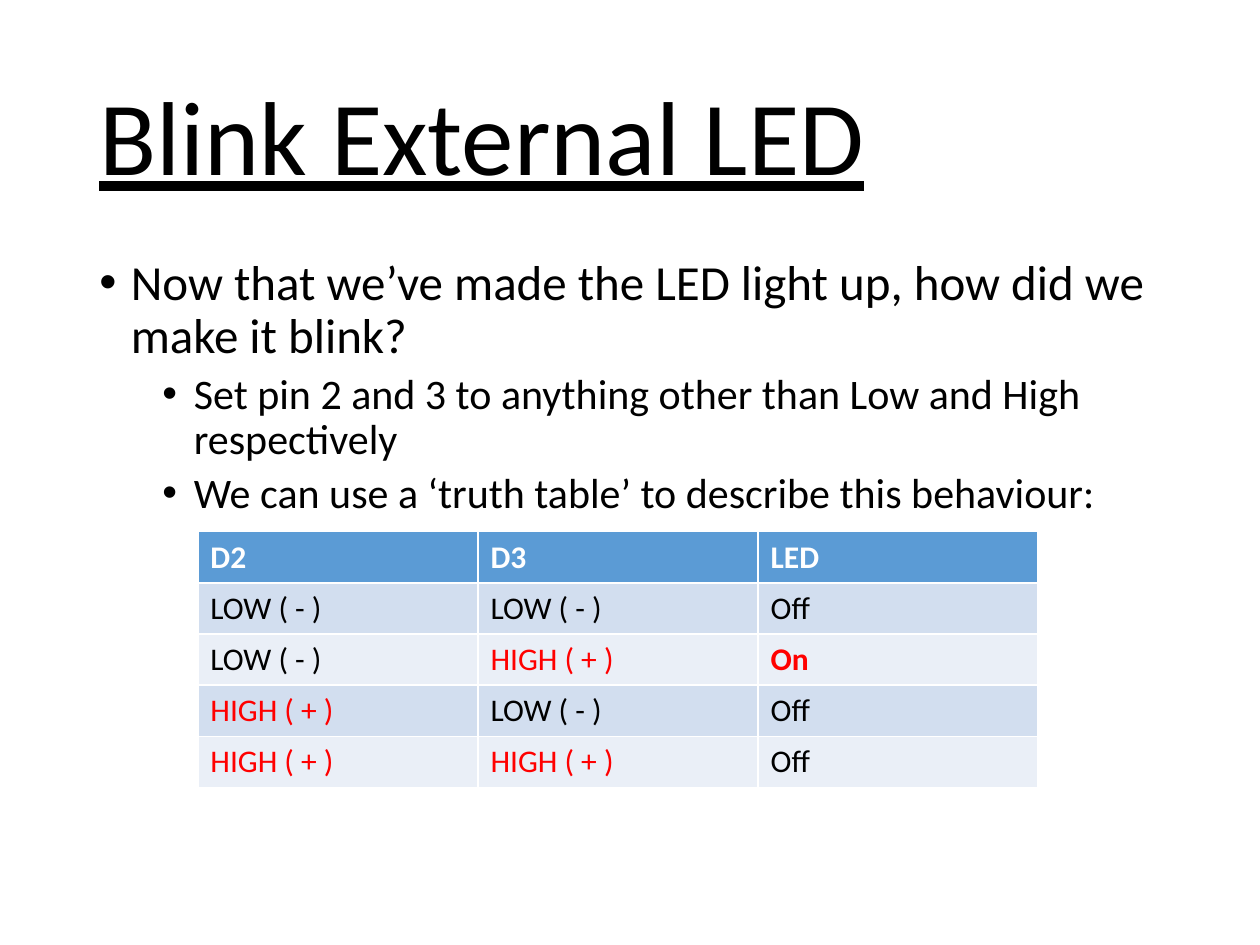
"""Build the slide that explains the external LED with a truth table."""
from lxml.etree import SubElement
from pptx import Presentation
from pptx.dml.color import RGBColor as Rgb
from pptx.enum.text import MSO_ANCHOR as Anchor
from pptx.oxml.ns import qn
from pptx.util import Inches, Pt

COLORS = {"text": "000000", "white": "FFFFFF", "high": "FF0000",
          "header": "5B9BD5", "odd": "D2DEEF", "even": "EAEFF7"}
FONT = "Calibri"
LOW, HIGH = "LOW ( - )", "HIGH ( + )"

deck = Presentation()
deck.slide_width, deck.slide_height = Inches(10), Inches(7.5)
page = deck.slides.add_slide(deck.slide_layouts[6])


def add_box(top, height, anchor):
    box = page.shapes.add_textbox(Inches(0.69), Inches(top), Inches(8.62), Inches(height))
    box.text_frame.word_wrap = True
    box.text_frame.vertical_anchor = anchor
    return box.text_frame


def style(para, size, color="text", bold=False):
    para.font.name = FONT
    para.font.size = Pt(size)
    para.font.bold = bold
    para.font.color.rgb = Rgb.from_string(COLORS[color])


title = add_box(0.4, 1.45, Anchor.MIDDLE).paragraphs[0]
title.text = "Blink External LED"
title.line_spacing = 0.9
style(title, 60)
title.font.underline = True

bullets = [
    (0, "Now that we’ve made the LED light up, how did we make it blink?"),
    (1, "Set pin 2 and 3 to anything other than Low and High respectively"),
    (1, "We can use a ‘truth table’ to describe this behaviour:"),
]
body = add_box(2, 4.76, Anchor.TOP)
for index, (level, text) in enumerate(bullets):
    para = body.add_paragraph() if index else body.paragraphs[0]
    para.text = text
    para.level = level
    para.line_spacing = 0.9
    para.space_before = Pt(10 - 5 * level)
    props = para._p.get_or_add_pPr()
    props.set("marL", str(Inches(0.25 + 0.5 * level)))
    props.set("indent", str(Inches(-0.25)))
    SubElement(props, qn("a:buFont"), typeface="Arial")
    SubElement(props, qn("a:buChar"), char="•")
    style(para, 28 - 4 * level)

rows = [
    ("D2", "D3", "LED"),
    (LOW, LOW, "Off"),
    (LOW, HIGH, "On"),
    (HIGH, LOW, "Off"),
    (HIGH, HIGH, "Off"),
]
table = page.shapes.add_table(len(rows), len(rows[0]), Inches(1.57), Inches(4.22),
                              Inches(6.67), Inches(2.03)).table
for row_index, values in enumerate(rows):
    is_header = row_index == 0
    fill = "header" if is_header else "odd" if row_index % 2 else "even"
    for column_index, value in enumerate(values):
        cell = table.cell(row_index, column_index)
        cell.fill.solid()
        cell.fill.fore_color.rgb = Rgb.from_string(COLORS[fill])
        cell.text = value
        color = "white" if is_header else "high" if value in (HIGH, "On") else "text"
        style(cell.text_frame.paragraphs[0], 18, color, is_header or value == "On")

deck.save("out.pptx")
